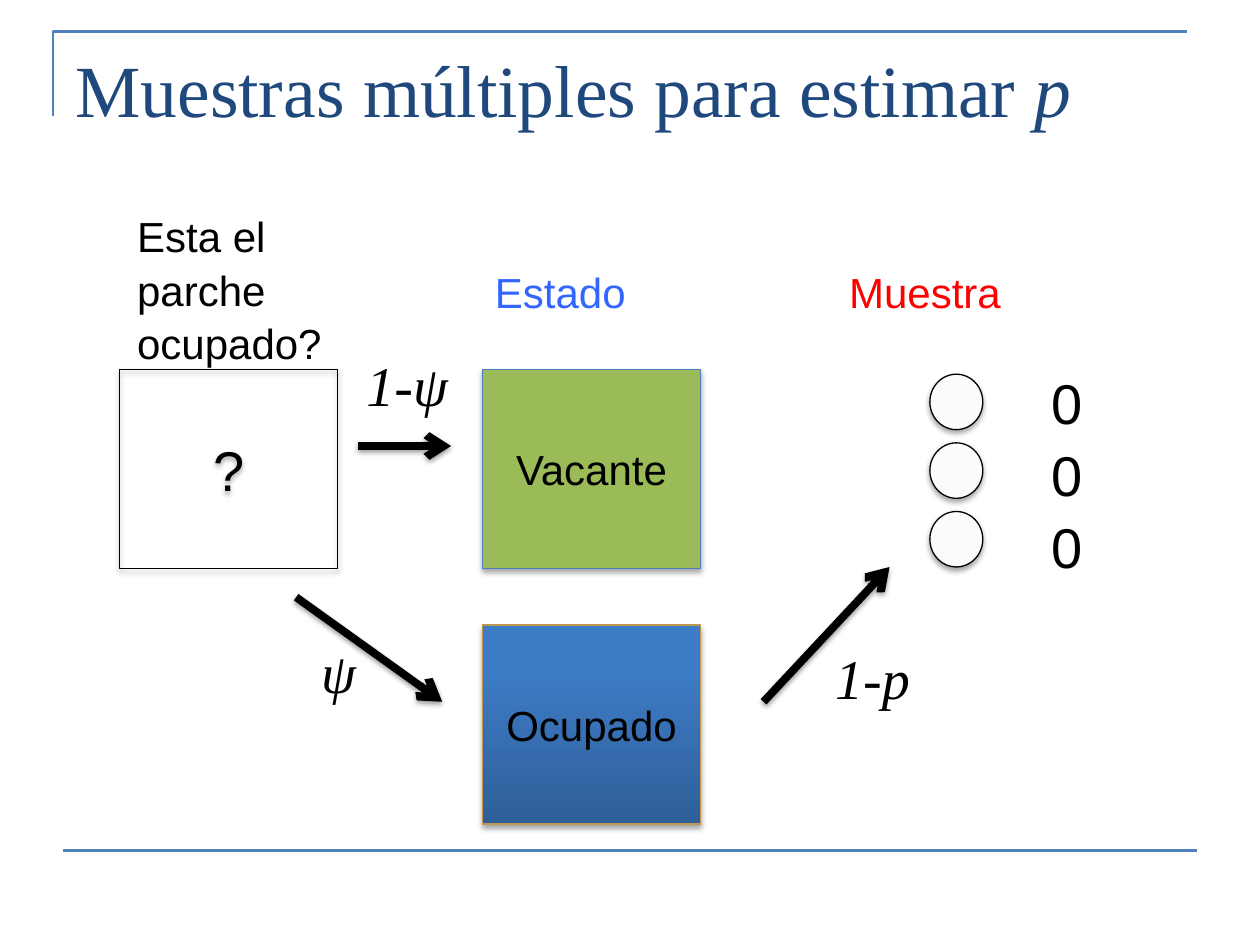
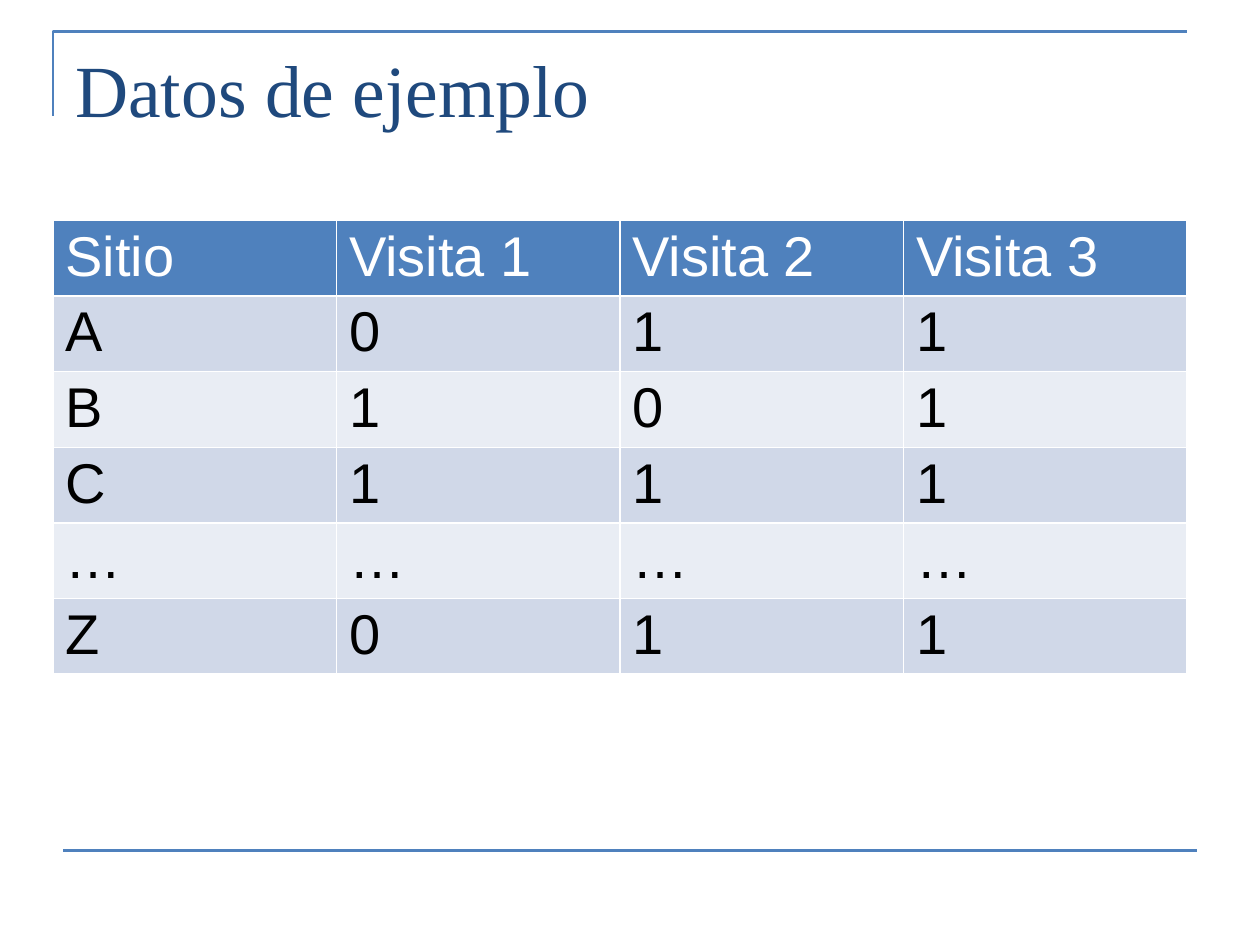
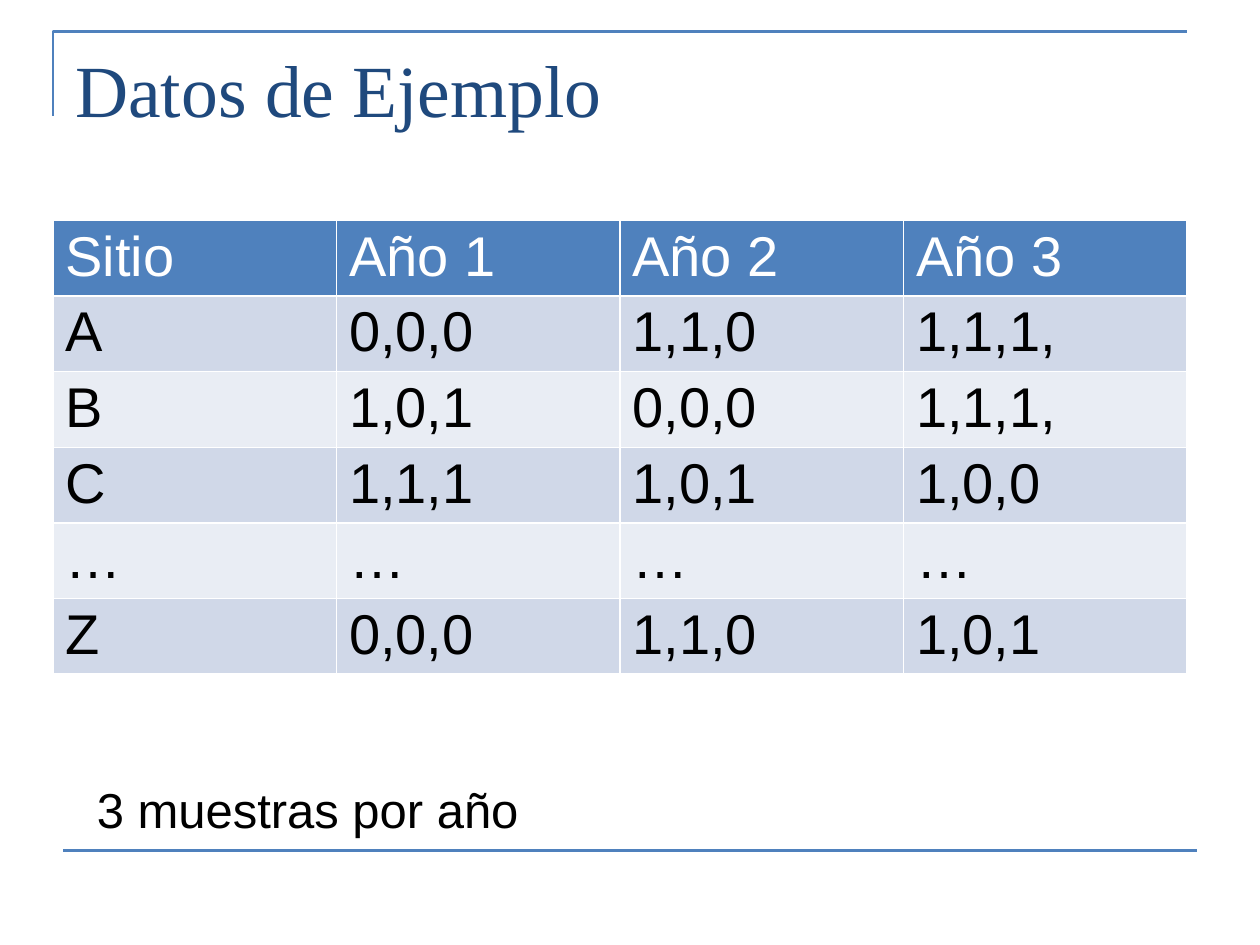
from lxml.etree import SubElement
from pptx import Presentation
from pptx.dml.color import RGBColor
from pptx.enum.shapes import MSO_CONNECTOR, MSO_SHAPE
from pptx.enum.text import MSO_ANCHOR, MSO_AUTO_SIZE, PP_ALIGN
from pptx.oxml.ns import qn
from pptx.util import Inches, Pt

COLORS = {
    "accent": "4F81BD", "title": "1F497D", "ink": "000000", "white": "FFFFFF",
    "state": "3366FF", "sample": "FF0000", "vacant": "9BBB59", "edge": "4B7EBC",
    "deep": "2F5F99", "bright": "3D7CC7", "gold": "BF974D", "dot": "FCFBF9",
    "odd": "D0D8E8", "even": "E9EDF4",
}
FORMATS = {
    "title": {"name": "Times New Roman", "size": Pt(42)},
    "math": {"name": "Times New Roman", "size": Pt(32), "italic": True},
    "big": {"name": "Arial", "size": Pt(32)},
    "note": {"name": "Arial", "size": Pt(28)},
    "label": {"name": "Arial", "size": Pt(24)},
}
COLS, ROWS = 20, 15
WIDTH, HEIGHT = Inches(10), Inches(7.5)


def tint(name):
    return RGBColor.from_string(COLORS[name])


class Deck:
    def __init__(self):
        self.show = Presentation()
        self.show.slide_width, self.show.slide_height = WIDTH, HEIGHT

    def grid(self, *spots):
        units = WIDTH / COLS, HEIGHT / ROWS
        return [round(spot * units[i % 2]) for i, spot in enumerate(spots)]

    def page(self, title, slant=""):
        self.shapes = self.show.slides.add_slide(self.show.slide_layouts[6]).shapes
        corner = self.grid(0.84, 1.84, 0.84, 0.5, 18.84, 0.5)
        points = list(zip(corner[::2], corner[1::2]))
        pen = self.shapes.build_freeform(*points[0])
        pen.add_line_segments(points[1:], close=False)
        frame = pen.convert_to_shape()
        frame.fill.background()
        frame.shadow.inherit = False
        self.stroke(frame, "accent", 1.5)
        self.line((1, 13.5, 19, 13.5), "accent", 1.5)
        box = self.text(title, (1, 0.6, 18, 2.5), "title", "title", grow=False)
        if slant:
            run = box.text_frame.paragraphs[0].add_run()
            run.text = slant
            self.style(run.font, "title", "title")
            run.font.italic = True

    def style(self, font, form, color):
        for key, value in FORMATS[form].items():
            setattr(font, key, value)
        font.color.rgb = tint(color)

    def put(self, frame, text, form, color, align=PP_ALIGN.LEFT):
        for i, words in enumerate(text.split("\n")):
            para = frame.add_paragraph() if i else frame.paragraphs[0]
            para.alignment = align
            run = para.add_run()
            run.text = words
            self.style(run.font, form, color)

    def text(self, text, area, form, color="ink", wrap=True, grow=True, space=None):
        box = self.shapes.add_textbox(*self.grid(*area))
        frame = box.text_frame
        frame.word_wrap = wrap
        frame.auto_size = MSO_AUTO_SIZE.SHAPE_TO_FIT_TEXT if grow else MSO_AUTO_SIZE.NONE
        self.put(frame, text, form, color)
        for para in frame.paragraphs:
            para.line_spacing = space
        return box

    def stroke(self, shape, color, width):
        shape.line.color.rgb = tint(color)
        shape.line.width = Pt(width)

    def shade(self, shape, alpha, dist):
        effects = shape.element.spPr.find(qn("a:effectLst"))
        shadow = SubElement(effects, qn("a:outerShdw"), blurRad=str(Pt(3.1)),
                            dist=str(Pt(dist)), dir="5400000", rotWithShape="0")
        color = SubElement(shadow, qn("a:srgbClr"), val=COLORS["ink"])
        SubElement(color, qn("a:alpha"), val=str(alpha * 1000))

    def line(self, ends, color, width):
        link = self.shapes.add_connector(MSO_CONNECTOR.STRAIGHT, *self.grid(*ends))
        self.stroke(link, color, width)
        SubElement(link.element.spPr, qn("a:effectLst"))
        return link

    def arrow(self, ends):
        link = self.line(ends, "ink", 4.5)
        SubElement(link.element.spPr.find(qn("a:ln")), qn("a:tailEnd"), type="arrow")
        self.shade(link, 38, 1.6)

    def shape(self, kind, area, fill, edge, text="", form="label"):
        item = self.shapes.add_shape(kind, *self.grid(*area))
        if not fill:
            item.fill.background()
        elif len(fill) == 1:
            item.fill.solid()
            item.fill.fore_color.rgb = tint(fill[0])
        else:
            item.fill.gradient()
            item.fill.gradient_angle = 90
            for stop, name, place in zip(item.fill.gradient_stops, fill, (0, 0.8)):
                stop.color.rgb = tint(name)
                stop.position = place
        self.stroke(item, edge, 0.75)
        item.shadow.inherit = False
        self.shade(item, 35, 1.8)
        if text:
            item.text_frame.vertical_anchor = MSO_ANCHOR.MIDDLE
            self.put(item.text_frame, text, form, "ink", PP_ALIGN.CENTER)

    def cell(self, cell, text, fill, color):
        cell.margin_top = cell.margin_bottom = Inches(0.04)
        self.put(cell.text_frame, text, "big", color)
        props = cell._tc.get_or_add_tcPr()
        for side in "LRTB":
            edge = SubElement(props, qn(f"a:ln{side}"), w=str(Pt(1)))
            solid = SubElement(edge, qn("a:solidFill"))
            SubElement(solid, qn("a:srgbClr"), val=COLORS["white"])
        cell.fill.solid()
        cell.fill.fore_color.rgb = tint(fill)

    def table(self, rows):
        area = self.grid(0.84, 3.5, 18, 1.2 * len(rows))
        table = self.shapes.add_table(len(rows), len(rows[0]), *area).table
        for r, row in enumerate(rows):
            fill = ("odd" if r % 2 else "even") if r else "accent"
            for c, text in enumerate(row):
                self.cell(table.cell(r, c), text, fill, "ink" if r else "white")


def model(deck):
    deck.page("Muestras múltiples para estimar ", "p")
    deck.text("Muestra", (13.28, 4.14, 2.84, 1), "label", "sample", wrap=False)
    deck.text("Esta el parche ocupado?", (1.98, 3.18, 4.44, 2.62), "label", space=1.07)
    deck.text("Estado", (7.66, 4.14, 3.04, 1), "label", "state")
    size = 3.46, 3.16
    for left, top, fill, edge, text, form in (
        (1.9, 5.86, (), "ink", "?", "big"),
        (7.66, 5.86, ("vacant",), "edge", "Vacante", "label"),
        (7.66, 9.92, ("deep", "bright"), "gold", "Ocupado", "label"),
    ):
        deck.shape(MSO_SHAPE.RECTANGLE, (left, top, *size), fill, edge, text, form)
    for ends in ((5.68, 7.08, 7.16, 7.08), (4.7, 9.48, 7.02, 11.14),
                 (12.12, 11.14, 14.12, 9)):
        deck.arrow(ends)
    deck.text("1-ψ", (5.62, 5.46, 2.02, 1.28), "math", wrap=False)
    deck.text("ψ", (4.9, 10.02, 1.26, 1.28), "math", wrap=False)
    deck.text("1-p", (13.06, 10.12, 1.72, 1.28), "math")
    for i in range(3):
        deck.shape(MSO_SHAPE.OVAL, (14.76, 5.94 + 1.09 * i, 0.84, 0.88), ("dot",), "ink")
    deck.text("0\n0\n0", (16.5, 5.68, 1.18, 3.44), "big", space=1.07)


def visits(deck):
    deck.page("Datos de ejemplo")
    deck.table([
        ("Sitio", "Visita 1", "Visita 2", "Visita 3"),
        ("A", "0", "1", "1"),
        ("B", "1", "0", "1"),
        ("C", "1", "1", "1"),
        ("…",) * 4,
        ("Z", "0", "1", "1"),
    ])


def years(deck):
    deck.page("Datos de Ejemplo")
    deck.table([
        ("Sitio", "Año 1", "Año 2", "Año 3"),
        ("A", "0,0,0", "1,1,0", "1,1,1,"),
        ("B", "1,0,1", "0,0,0", "1,1,1,"),
        ("C", "1,1,1", "1,0,1", "1,0,0"),
        ("…",) * 4,
        ("Z", "0,0,0", "1,1,0", "1,0,1"),
    ])
    deck.text("3 muestras por año", (1.34, 12.28, 7.36, 1.14), "note", wrap=False)


def main():
    deck = Deck()
    for build in (model, visits, years):
        build(deck)
    deck.show.save("out.pptx")


if __name__ == "__main__":
    main()
